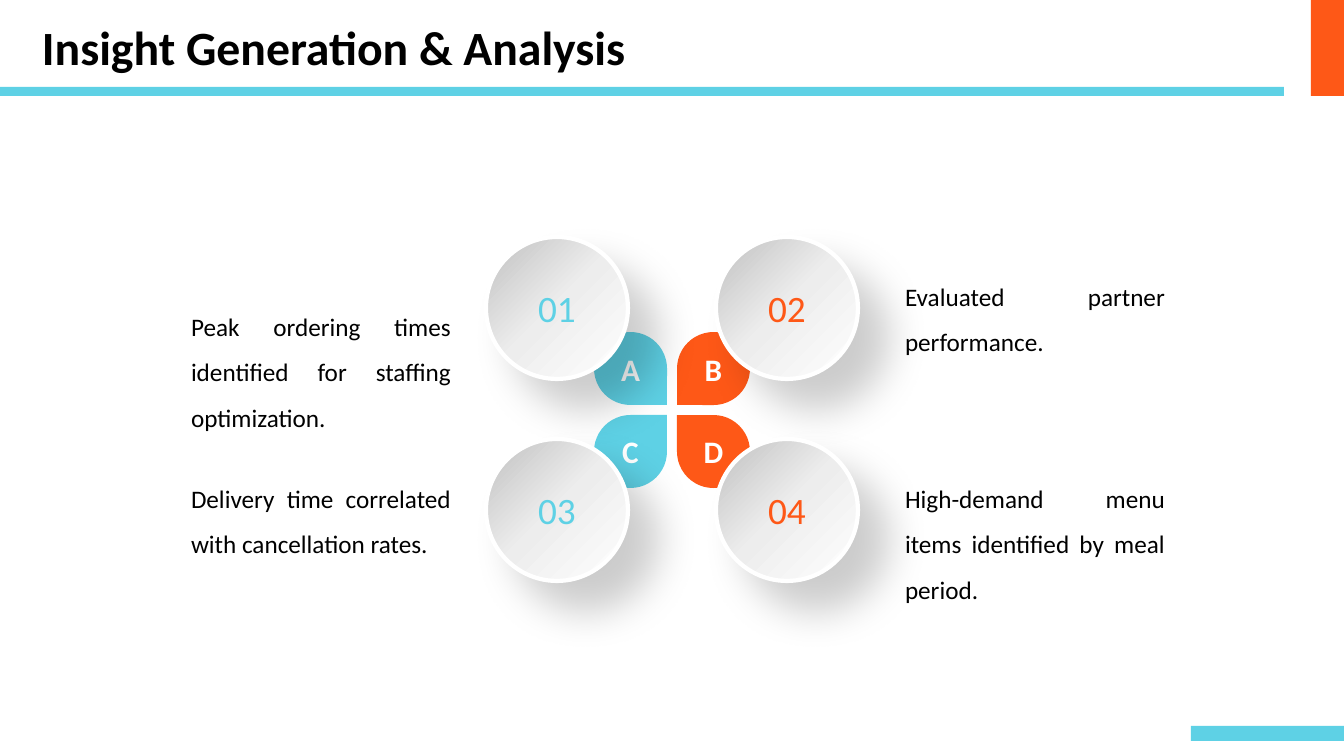
import copy
from dataclasses import dataclass

import pptx
import pptx.dml.color
import pptx.enum.dml
import pptx.enum.shapes
import pptx.enum.text
import pptx.oxml
import pptx.oxml.ns
import pptx.util

EMU_PER_PX = 12192000 / 1344
SHAPES = pptx.enum.shapes.MSO_SHAPE
ALIGN = pptx.enum.text.PP_ALIGN
ANCHOR = pptx.enum.text.MSO_ANCHOR


@dataclass(frozen=True)
class Theme:
    font: str = "Calibri"
    cyan: str = "5ED1E5"
    orange: str = "FE5817"
    black: str = "000000"
    white: str = "FFFFFF"
    disc_stops: tuple = ((0, "C0C0C0"), (0.49, "EDEDED"), (1, "FFFFFF"))
    title_size: float = 34.1
    number_size: float = 26.6
    letter_size: float = 22.3
    body_size: float = 18


THEME = Theme()

# number, letter, petal rotation, text, text top within its row, text height
INSIGHTS = [
    ("01", "A", 90, "Peak ordering times identified for staffing optimization.", 30, 146),
    ("02", "B", 180, "Evaluated partner performance.", 0, 101),
    ("03", "C", 0, "Delivery time correlated with cancellation rates.", 0, 101),
    ("04", "D", 270, "High-demand menu items identified by meal period.", 0, 146),
]


def px(value):
    return pptx.util.Emu(round(value * EMU_PER_PX))


def place(box):
    return [px(value) for value in box]


def rgb(value):
    return pptx.dml.color.RGBColor.from_string(value)


def set_values(target, values):
    for name, value in values.items():
        setattr(target, name, value)


def write_text(shape, text, size, color, bold=False, align=ALIGN.CENTER,
               anchor=ANCHOR.MIDDLE, wrap=True, spacing=1.0, margins=(0, 0)):
    frame = shape.text_frame
    side, end = map(px, margins)
    set_values(frame, {
        "word_wrap": wrap, "vertical_anchor": anchor,
        "auto_size": pptx.enum.text.MSO_AUTO_SIZE.NONE,
        "margin_left": side, "margin_right": side,
        "margin_top": end, "margin_bottom": end,
    })
    paragraph = frame.paragraphs[0]
    set_values(paragraph, {"text": text, "alignment": align,
                           "line_spacing": spacing,
                           "space_before": pptx.util.Pt(0)})
    font = paragraph.runs[0].font
    set_values(font, {"name": THEME.font, "size": pptx.util.Pt(size), "bold": bold})
    font.color.rgb = rgb(color)


def add_filled_shape(slide, kind, box, color, rotation=0):
    shape = slide.shapes.add_shape(kind, *place(box))
    shape.shadow.inherit = False
    shape.fill.solid()
    shape.fill.fore_color.rgb = rgb(color)
    shape.line.fill.background()
    shape.rotation = rotation
    return shape


def add_header(slide, box):
    left, top, width, height = box
    # Title
    title = slide.shapes.title
    set_values(title, dict(zip(("left", "top", "width", "height"),
                               place((left + 42, top + 18, 658, 135)))))
    write_text(title, "Insight Generation & Analysis", THEME.title_size, THEME.black,
               bold=True, align=ALIGN.LEFT, anchor=ANCHOR.TOP)
    # Rule and corner block
    add_filled_shape(slide, SHAPES.RECTANGLE,
                     (left, top + height - 9, width - 60, 9), THEME.cyan)
    add_filled_shape(slide, SHAPES.RECTANGLE,
                     (left + width - 33, top, 33, height), THEME.orange)


def add_footer(slide, box):
    left, top, width, height = box
    add_filled_shape(slide, SHAPES.RECTANGLE,
                     (left + width - 153, top, 153, height), THEME.cyan)


def add_petal(slide, box, letter, color, rotation):
    add_filled_shape(slide, SHAPES.TEAR, box, color, rotation)
    label = slide.shapes.add_textbox(*place(box))
    write_text(label, letter, THEME.letter_size, THEME.white, bold=True, wrap=False,
               margins=(0, 4))


def add_disc(slide, box, number, color):
    disc = add_filled_shape(slide, SHAPES.OVAL, box, THEME.white)
    disc.line.color.rgb = rgb(THEME.white)
    disc.line.width = pptx.util.Pt(3)
    # Three-stop diagonal gradient
    disc.fill.gradient()
    disc.fill.gradient_angle = 315
    properties = disc._element.spPr
    stop_list = properties.find(".//" + pptx.oxml.ns.qn("a:gsLst"))
    stop_list.append(copy.deepcopy(stop_list[-1]))
    for stop, (position, stop_color) in zip(disc.fill.gradient_stops, THEME.disc_stops):
        stop.position = position
        stop.color.rgb = rgb(stop_color)
    # Soft shadow to the lower right
    effects = properties.find(pptx.oxml.ns.qn("a:effectLst"))
    distance = pptx.util.Pt(29)
    effects.append(pptx.oxml.parse_xml(
        f'<a:outerShdw {pptx.oxml.ns.nsdecls("a")} blurRad="{distance}" '
        f'dist="{distance}" dir="2700000" algn="tl" rotWithShape="0">'
        f'<a:srgbClr val="{THEME.black}"><a:alpha val="20000"/></a:srgbClr>'
        '</a:outerShdw>'))
    write_text(disc, number, THEME.number_size, color, margins=(0, 4))


def add_insights(slide, box):
    left, top, width, height = box
    text_width, disc_size, petal_size = 278, 142, 73
    cells = [(*divmod(index, 2), insight) for index, insight in enumerate(INSIGHTS)]
    colors = (THEME.cyan, THEME.orange)
    row_step = height - disc_size
    # Descriptions at the outer edges
    for row, column, (_, _, _, text, offset, text_height) in cells:
        description = slide.shapes.add_textbox(*place((
            left + column * (width - text_width),
            top + 25 + row * row_step + offset, text_width, text_height)))
        write_text(description, text, THEME.body_size, THEME.black, align=ALIGN.JUSTIFY,
                   anchor=ANCHOR.TOP, spacing=1.5, margins=(9, 4))
    # Lettered petals around the middle
    for row, column, (_, letter, rotation, *_) in cells:
        petal_box = (left + 412 + column * 83, top + 95 + row * 83,
                     petal_size, petal_size)
        add_petal(slide, petal_box, letter, colors[column], rotation)
    # Numbered discs over the petals
    for row, column, (number, *_) in cells:
        disc_box = (left + 304 + column * 230, top + row * row_step,
                    disc_size, disc_size)
        add_disc(slide, disc_box, number, colors[column])


def main():
    presentation = pptx.Presentation()
    presentation.slide_width = px(1344)
    presentation.slide_height = px(756)
    slide = presentation.slides.add_slide(presentation.slide_layouts[5])
    add_insights(slide, (182, 237, 992, 344))
    add_header(slide, (0, 0, 1344, 96))
    add_footer(slide, (0, 726, 1344, 15))
    presentation.save("out.pptx")


if __name__ == "__main__":
    main()
